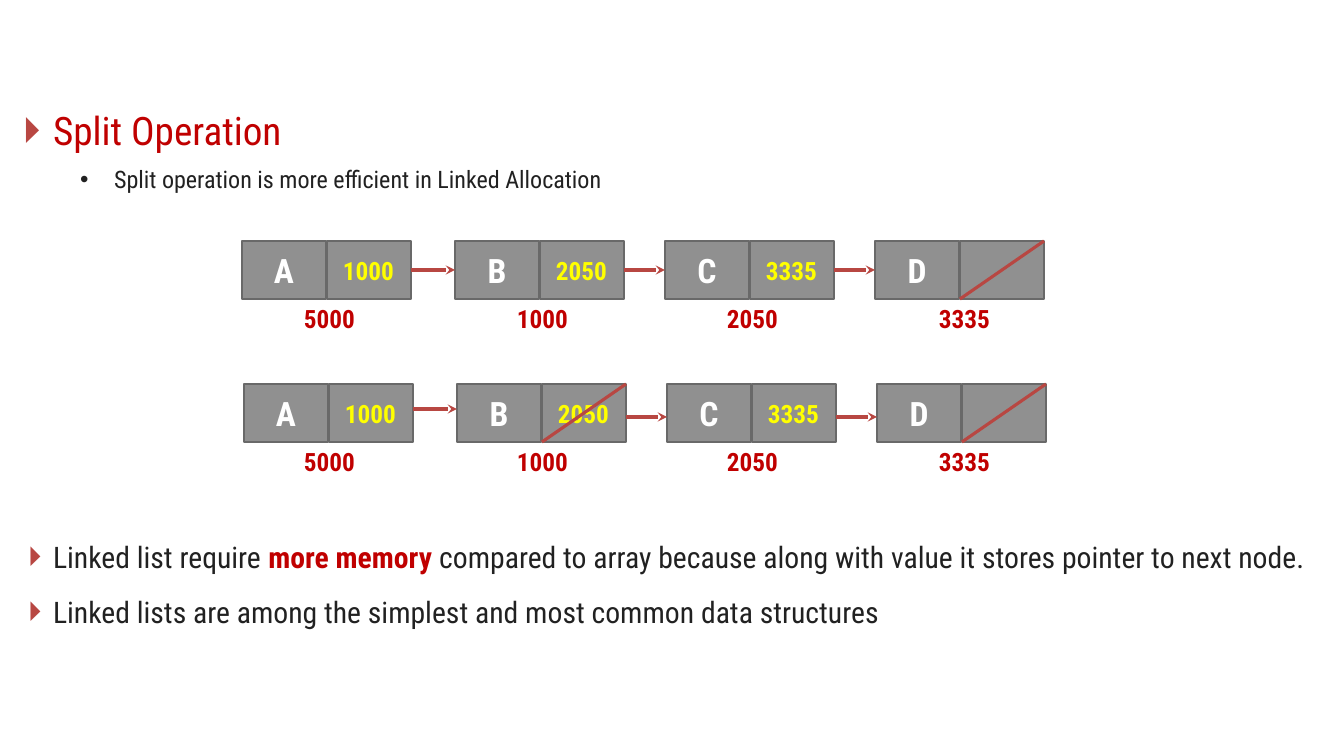
from lxml import etree
from pptx import Presentation
from pptx import util as u
from pptx.dml.color import RGBColor
from pptx.enum import shapes, text
from pptx.oxml import ns

FONT = "Roboto Condensed"
RED = RGBColor(0xC0, 0x00, 0x00)
BRICK = RGBColor(0xB8, 0x47, 0x42)
INK = RGBColor(0x21, 0x21, 0x21)
GREY = RGBColor(0x90, 0x90, 0x90)
EDGE = RGBColor(0x69, 0x69, 0x69)
WHITE = RGBColor(0xFF, 0xFF, 0xFF)
YELLOW = RGBColor(0xFF, 0xFF, 0x00)

SLIDE_W, SLIDE_H = 1344, 756
EMU_PER_PX = 12192000 / SLIDE_W
CELL_W, CELL_H, CELL_STEP = 84, 58, 85
NODE_LEFTS = (242, 455, 665, 875)
ADDRESS_LEFTS = (294, 507, 717, 929)
NAMES = ("A", "B", "C", "D")
ADDRESSES = ("5000", "1000", "2050", "3335")
TRIANGLE = "🞂"


def px(length):
    return u.Emu(round(length * EMU_PER_PX))


def add_span(para, words, size=18, color=INK, bold=False):
    span = para.add_run()
    span.text = words
    font = span.font
    font.name, font.size, font.bold = FONT, u.Pt(size), bold
    font.color.rgb = color


def add_bullet(para, mark, color, margin, hanging):
    props = para._p.get_or_add_pPr()
    props.set("marL", str(px(margin)))
    props.set("indent", str(-px(hanging)))
    tint = etree.SubElement(props, ns.qn("a:buClr"))
    etree.SubElement(tint, ns.qn("a:srgbClr"), val=str(color))
    etree.SubElement(props, ns.qn("a:buChar"), char=mark)


def add_point(para, spans, size, mark=TRIANGLE, mark_color=BRICK,
              hanging=24, margin=29, level=0, before=0):
    """Fill one bulleted paragraph; spans are (words, color, bold)."""
    add_bullet(para, mark, mark_color, margin, hanging)
    para.level = level
    para.alignment = text.PP_ALIGN.JUSTIFY
    para.line_spacing = 1.14
    para.space_before = u.Pt(before)
    for words, color, bold in spans:
        add_span(para, words, size=size, color=color, bold=bold)


def fill_body(body):
    body.left, body.top, body.width, body.height = map(px, (14, 95, 1315, 616))
    frame = body.text_frame
    frame.auto_size = text.MSO_AUTO_SIZE.NONE
    add_point(frame.paragraphs[0], [("Split Operation", RED, False)], 28, hanging=29)
    add_point(frame.add_paragraph(),
              [("Split operation is more efficient in Linked Allocation", INK, False)],
              17.2, mark="•", mark_color=INK, margin=90, hanging=34, level=1, before=5)
    add_point(frame.add_paragraph(), [
        ("Linked list require ", INK, False),
        ("more memory ", RED, True),
        ("compared to array because along with value it stores pointer to next node.",
         INK, False),
    ], 21.2, before=243)
    add_point(frame.add_paragraph(),
              [("Linked lists are among the simplest and most common data structures",
                INK, False)], 21.2, before=10)


def add_cell(page, left, top, name=""):
    cell = page.shapes.add_shape(shapes.MSO_SHAPE.RECTANGLE,
                                 *map(px, (left, top, CELL_W, CELL_H)))
    cell.shadow.inherit = False
    cell.fill.solid()
    cell.fill.fore_color.rgb = GREY
    cell.line.color.rgb = EDGE
    cell.line.width = u.Pt(1)
    if name:
        frame = cell.text_frame
        frame.vertical_anchor = text.MSO_ANCHOR.MIDDLE
        frame.paragraphs[0].alignment = text.PP_ALIGN.CENTER
        add_span(frame.paragraphs[0], name, size=24, color=WHITE, bold=True)
    return cell


def add_number(page, left, top, number, color):
    box = page.shapes.add_textbox(*map(px, (left, top, 72, 40)))
    box.text_frame.word_wrap = False
    add_span(box.text_frame.paragraphs[0], number, color=color, bold=True)


def add_line(page, start, end, arrow=False):
    line = page.shapes.add_connector(shapes.MSO_CONNECTOR.STRAIGHT,
                                     *map(px, (*start, *end)))
    line.line.color.rgb = BRICK
    line.line.width = u.Pt(2.25)
    if arrow:
        etree.SubElement(line.line._get_or_add_ln(), ns.qn("a:tailEnd"), type="stealth")
    etree.SubElement(line._element.spPr, ns.qn("a:effectLst"))
    return line


def add_list(page, top, shift, arrow_drops, ends):
    """Draw one linked list; ends names the nodes whose pointer is struck out.

    arrow_drops gives each arrow's distance below the middle of the cells.
    """
    lefts = [left + shift for left in NODE_LEFTS]
    nodes = [(add_cell(page, left, top, name), add_cell(page, left + CELL_STEP, top))
             for left, name in zip(lefts, NAMES)]
    for index, drop in enumerate(arrow_drops):
        y = top + CELL_H // 2 + drop
        arrow = add_line(page, (lefts[index] + CELL_STEP + CELL_W, y),
                         (lefts[index + 1], y), arrow=True)
        if drop == 0:
            arrow.begin_connect(nodes[index][1], 3)
            arrow.end_connect(nodes[index + 1][0], 1)
    for left, pointer in zip(lefts, ADDRESSES[1:]):
        add_number(page, left + 91, top + 9, pointer, YELLOW)
    for left, name in zip(lefts, NAMES):
        if name in ends:
            cell_left = left + CELL_STEP
            add_line(page, (cell_left + CELL_W, top), (cell_left, top + CELL_H))
    for left, address in zip(ADDRESS_LEFTS, ADDRESSES):
        add_number(page, left, top + 57, address, RED)


def main():
    deck = Presentation()
    deck.slide_width, deck.slide_height = px(SLIDE_W), px(SLIDE_H)
    page = deck.slides.add_slide(deck.slide_layouts[1])
    title = page.shapes.title._element
    title.getparent().remove(title)
    fill_body(page.placeholders[1])
    add_list(page, top=241, shift=0, arrow_drops=(0, 0, 0), ends="D")
    add_list(page, top=384, shift=2, arrow_drops=(-4, 4, 4), ends="BD")
    deck.save("out.pptx")


if __name__ == "__main__":
    main()
